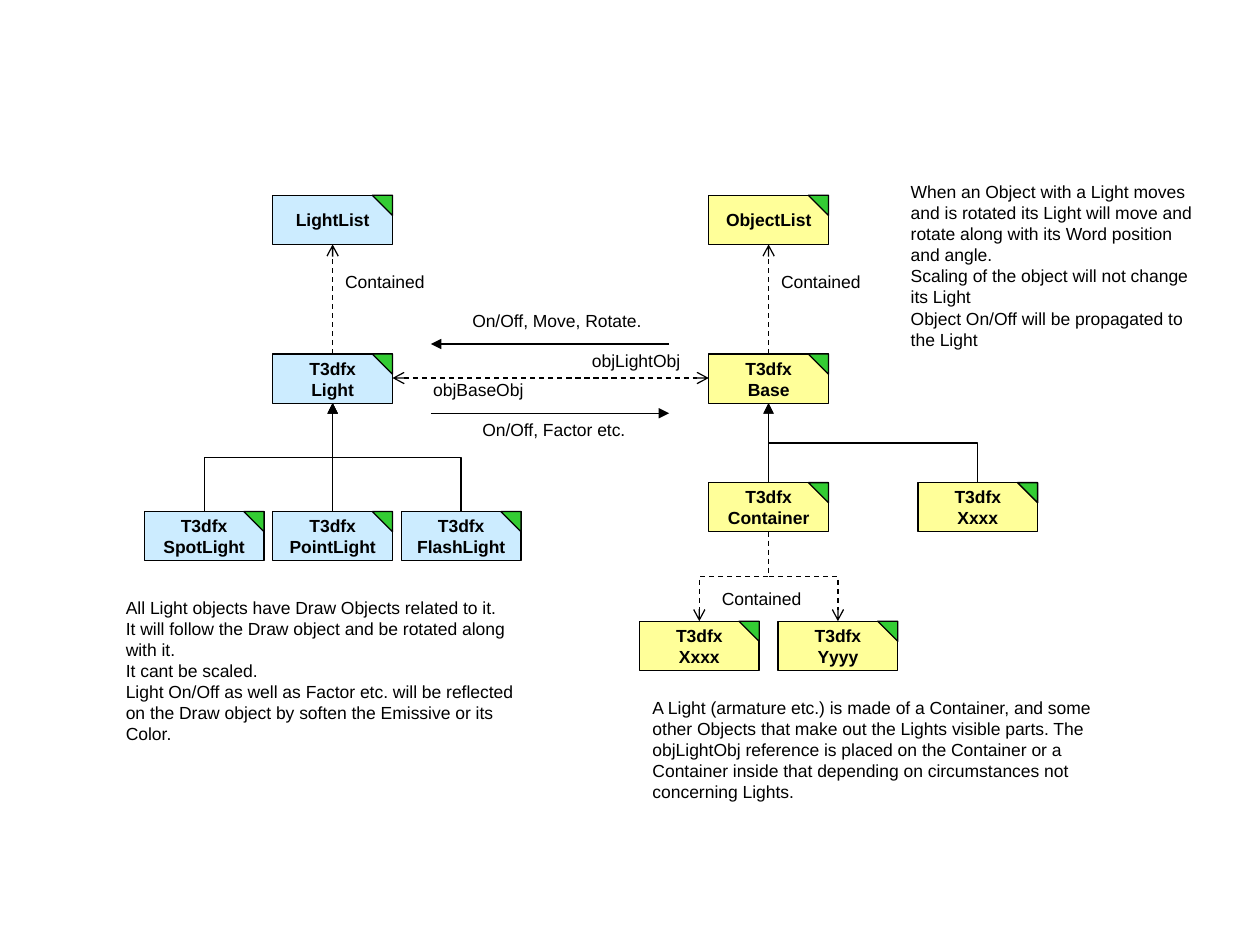
import pptx
import pptx.util
import pptx.dml.color
import pptx.enum.dml
import pptx.enum.shapes
import pptx.enum.text
import pptx.oxml
import pptx.oxml.ns

Inches = pptx.util.Inches
RGBColor = pptx.dml.color.RGBColor
Shape = pptx.enum.shapes.MSO_SHAPE
Link = pptx.enum.shapes.MSO_CONNECTOR

BLACK = RGBColor(0x00, 0x00, 0x00)
BLUE = RGBColor(0xCC, 0xEC, 0xFF)
YELLOW = RGBColor(0xFF, 0xFF, 0x99)
GREEN = RGBColor(0x33, 0xCC, 0x33)

WIDE, HIGH, FOLD = 0.95, 0.39, 0.16
LIGHT, BASE = 2.64, 6.1
TOP, MID = 1.55, 2.81
LAMP, KIDS, PARTS = 4.06, 3.83, 4.93
STEP, HALF = 1.02, 0.55


def add_run(para, text, bold=False):
    run = para.add_run()
    run.text = text
    run.font.name = "Arial"
    run.font.size = pptx.util.Pt(10)
    run.font.bold = bold
    run.font.color.rgb = BLACK


def paint(shape, fill):
    shape.shadow.inherit = False
    shape.fill.solid()
    shape.fill.fore_color.rgb = fill
    shape.line.color.rgb = BLACK
    shape.line.width = pptx.util.Pt(0.75)


def add_box(slide, mid, top, fill, *lines):
    left = mid - WIDE / 2
    group = slide.shapes.add_group_shape()
    box = group.shapes.add_shape(
        Shape.RECTANGLE, Inches(left), Inches(top), Inches(WIDE), Inches(HIGH))
    paint(box, fill)
    frame = box.text_frame
    frame.word_wrap = False
    frame.vertical_anchor = pptx.enum.text.MSO_ANCHOR.MIDDLE
    para = frame.paragraphs[0]
    para.alignment = pptx.enum.text.PP_ALIGN.CENTER
    for spot, line in enumerate(lines):
        if spot:
            para.add_line_break()
        add_run(para, line, bold=True)
    fold = group.shapes.add_shape(
        Shape.RIGHT_TRIANGLE, Inches(left + WIDE - FOLD), Inches(top),
        Inches(FOLD), Inches(FOLD))
    fold.rotation = 180
    paint(fold, GREEN)


def add_text(slide, left, top, width, height, *lines, wrap=False):
    box = slide.shapes.add_textbox(
        Inches(left), Inches(top), Inches(width), Inches(height))
    frame = box.text_frame
    frame.word_wrap = wrap
    frame.auto_size = pptx.enum.text.MSO_AUTO_SIZE.SHAPE_TO_FIT_TEXT
    for spot, line in enumerate(lines):
        para = frame.add_paragraph() if spot else frame.paragraphs[0]
        add_run(para, line)


def add_link(slide, kind, x1, y1, x2, y2, dash=False, both=False):
    link = slide.shapes.add_connector(
        kind, Inches(x1), Inches(y1), Inches(x2), Inches(y2))
    link.line.color.rgb = BLACK
    link.line.width = pptx.util.Pt(0.75)
    if dash:
        link.line.dash_style = pptx.enum.dml.MSO_LINE.DASH
    props = link._element.spPr
    edge = link.line._get_or_add_ln()
    for end in ("headEnd", "tailEnd") if both else ("tailEnd",):
        tip = pptx.oxml.parse_xml(
            f'<a:{end} {pptx.oxml.ns.nsdecls("a")}/>')
        tip.set("type", "arrow" if dash else "triangle")
        edge.append(tip)
    props.append(pptx.oxml.parse_xml(
        f'<a:effectLst {pptx.oxml.ns.nsdecls("a")}/>'))
    return link


def add_line(slide, *ends, **style):
    add_link(slide, Link.STRAIGHT, *ends, **style)


def add_bend(slide, x1, y1, x2, y2, dash=False):
    cx, cy = (x1 + x2) / 2, (y1 + y2) / 2
    link = add_link(slide, Link.ELBOW, cx + y1 - cy, cy - x1 + cx,
                    cx + y2 - cy, cy - x2 + cx, dash)
    link._element.spPr.xfrm.set("rot", "5400000")


def add_lights(slide):
    add_box(slide, LIGHT, TOP, BLUE, "LightList")
    add_box(slide, LIGHT, MID, BLUE, "T3dfx", "Light")
    for spot, name in enumerate(("SpotLight", "PointLight", "FlashLight"), -1):
        mid = LIGHT + spot * STEP
        add_box(slide, mid, LAMP, BLUE, "T3dfx", name)
        draw = add_bend if spot else add_line
        draw(slide, mid, LAMP, LIGHT, MID + HIGH)


def add_bases(slide):
    add_box(slide, BASE, TOP, YELLOW, "ObjectList")
    add_box(slide, BASE, MID, YELLOW, "T3dfx", "Base")
    add_box(slide, BASE, KIDS, YELLOW, "T3dfx", "Container")
    add_line(slide, BASE, KIDS, BASE, MID + HIGH)
    side = 7.76
    add_box(slide, side, KIDS, YELLOW, "T3dfx", "Xxxx")
    add_bend(slide, side, KIDS, BASE, MID + HIGH)
    for mid, name in ((BASE - HALF, "Xxxx"), (BASE + HALF, "Yyyy")):
        add_box(slide, mid, PARTS, YELLOW, "T3dfx", name)
        add_bend(slide, BASE, KIDS + HIGH, mid, PARTS, dash=True)
    add_text(slide, 5.63, 4.62, 0.85, 0.27, "Contained")


def add_ties(slide):
    for mid in (LIGHT, BASE):
        add_line(slide, mid, MID, mid, TOP + HIGH, dash=True)
        add_text(slide, mid, 2.1, 0.85, 0.27, "Contained")
    add_line(slide, LIGHT + WIDE / 2, 3, BASE - WIDE / 2, 3,
             dash=True, both=True)
    add_line(slide, 5.31, 2.73, 3.42, 2.73)
    add_line(slide, 3.42, 3.28, 5.31, 3.28)
    add_text(slide, 4.6, 2.73, 0.93, 0.27, "objLightObj")
    add_text(slide, 3.34, 2.96, 0.94, 0.27, "objBaseObj")
    add_text(slide, 3.65, 2.41, 1.56, 0.27, "On/Off, Move, Rotate.")
    add_text(slide, 3.73, 3.28, 1.36, 0.27, "On/Off, Factor etc.")


def add_notes(slide):
    add_text(
        slide, 7.13, 1.39, 2.44, 1.44,
        "When an Object with a Light moves and is rotated its Light will "
        "move and rotate along with its Word position and angle.",
        "Scaling of the object will not change its Light",
        "Object On/Off will be propagated to the Light", wrap=True)
    add_text(
        slide, 0.9, 4.69, 3.31, 1.27,
        "All Light objects have Draw Objects related to it.",
        "It will follow the Draw object and be rotated along with it.",
        "It cant be scaled.",
        "Light On/Off as well as Factor etc. will be reflected on the Draw "
        "object by soften the Emissive or its Color.", wrap=True)
    add_text(
        slide, 5.08, 5.48, 4.02, 0.94,
        "A Light (armature etc.) is made of a Container, and some other "
        "Objects that make out the Lights visible parts. The objLightObj "
        "reference is placed on the Container or a Container inside that "
        "depending on circumstances not concerning Lights.", wrap=True)


def main():
    deck = pptx.Presentation()
    deck.slide_width, deck.slide_height = Inches(10), Inches(7.5)
    slide = deck.slides.add_slide(deck.slide_layouts[6])
    add_lights(slide)
    add_bases(slide)
    add_ties(slide)
    add_notes(slide)
    deck.save("out.pptx")


if __name__ == "__main__":
    main()
